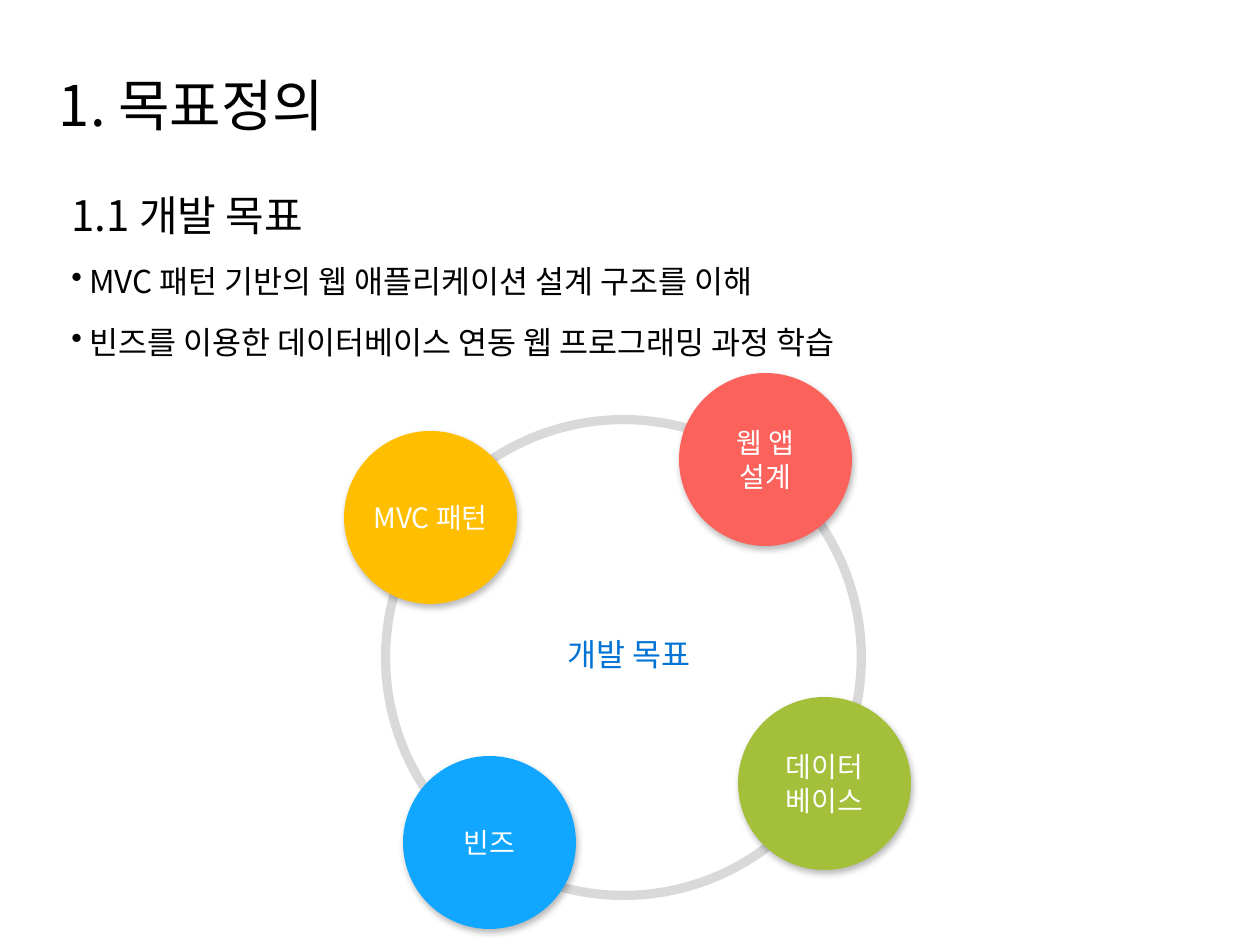
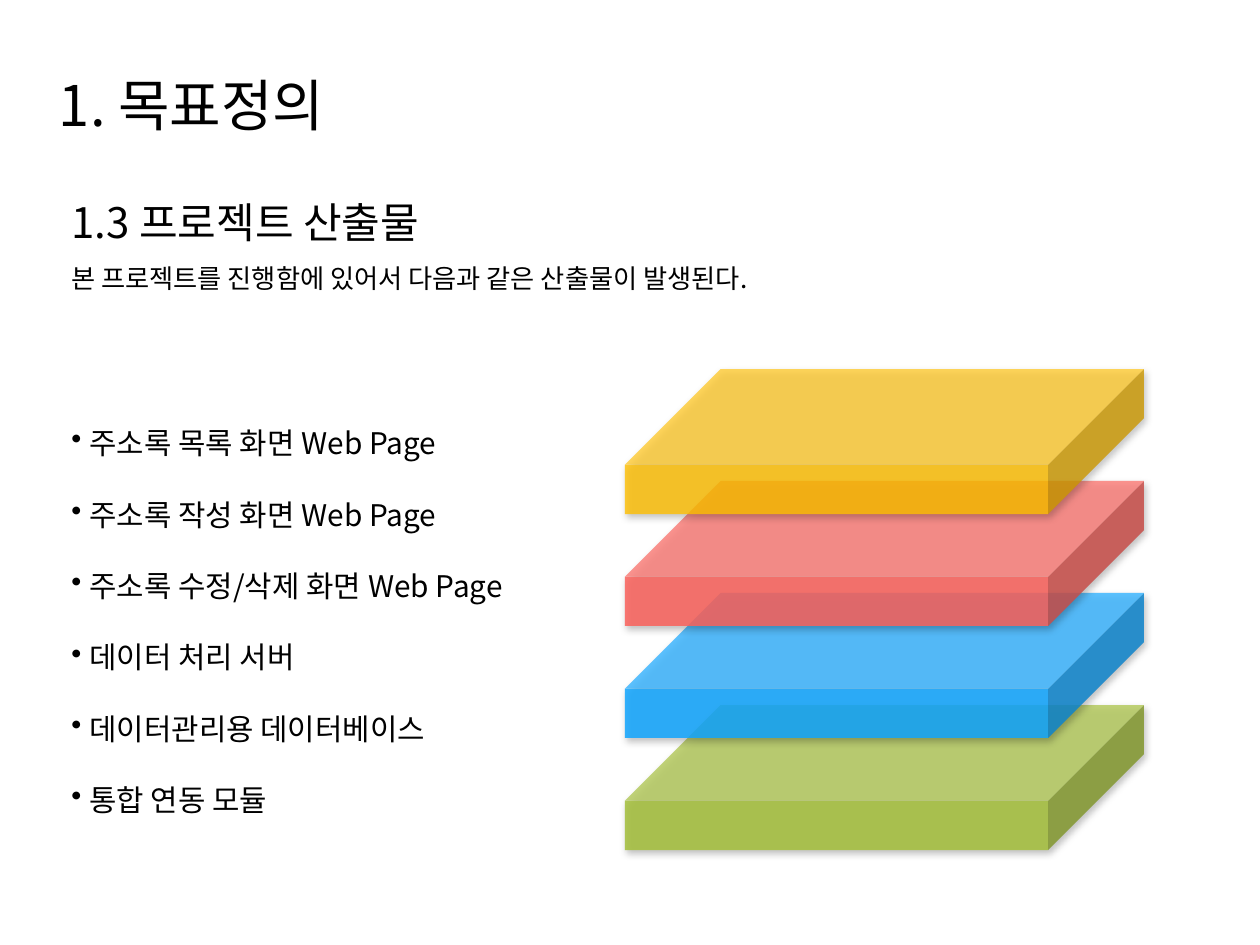
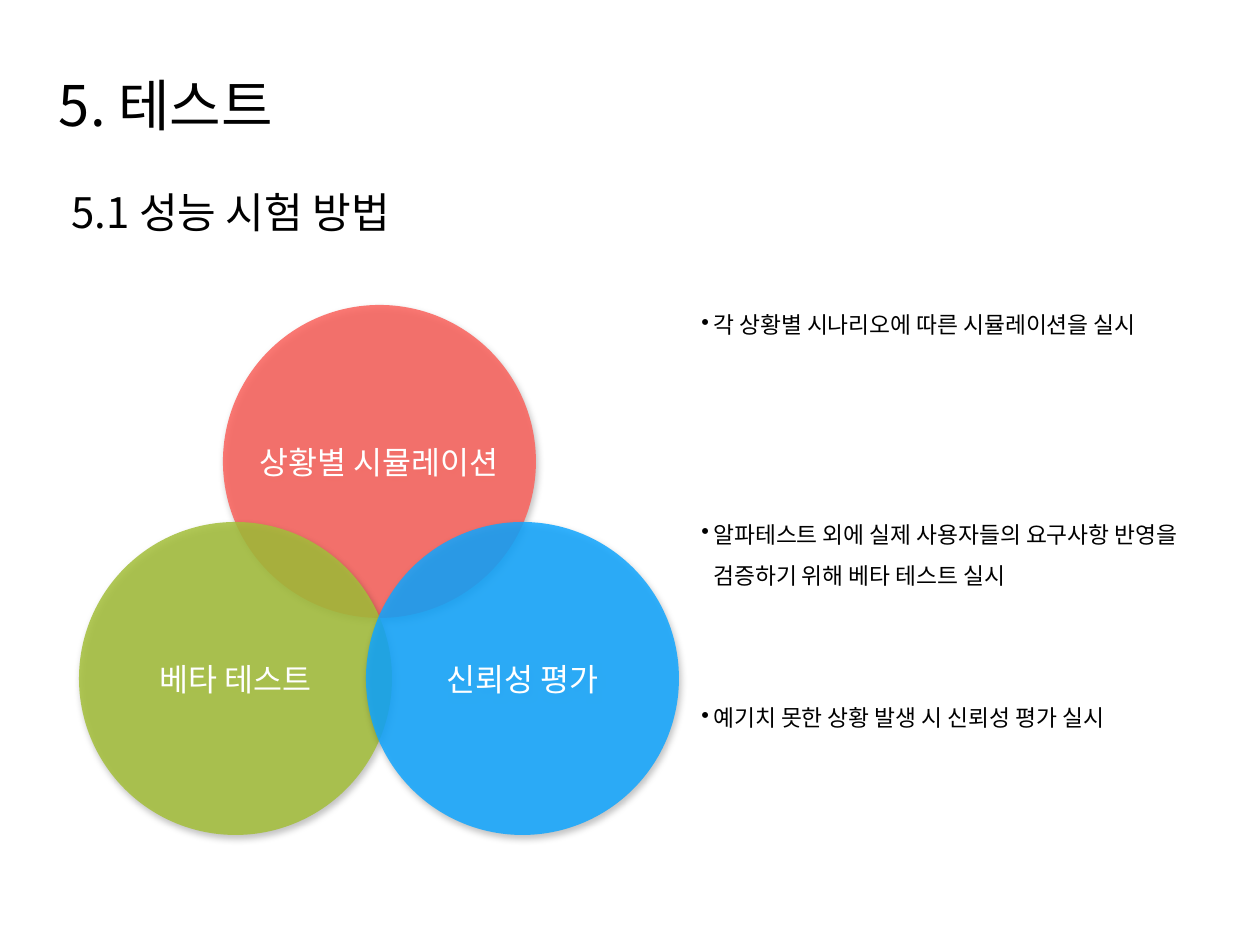
from dataclasses import dataclass

from lxml.etree import SubElement
from pptx import Presentation
from pptx.dml.color import RGBColor
from pptx.enum.shapes import MSO_SHAPE as Shape
from pptx.enum.text import MSO_ANCHOR as Anchor, PP_ALIGN as Align
from pptx.oxml.ns import qn
from pptx.util import Pt


@dataclass(frozen=True)
class Theme:
    font: str = "Noto Sans CJK KR"
    black: str = "000000"
    white: str = "FFFFFF"
    ring: str = "D9D9D9"
    accent: str = "0173D4"
    red: str = "FB625C"
    blue: str = "11A6FF"
    yellow: str = "FFBF00"
    green: str = "A4BF3A"
    title: int = 32
    heading: int = 24
    large: int = 18
    listing: int = 17
    label: int = 16
    intro: int = 15
    caption: int = 13


THEME = Theme()
MARGIN = 59


@dataclass(frozen=True)
class Line:
    text: str
    size: int
    spacing: float = 1.0
    hang: int = 0  # bullet indent in px, 0 for no bullet
    align: Align = Align.LEFT
    color: str = THEME.black


def px(length):
    return round(length * 914400 / 126)


def box(*lengths):
    return [px(length) for length in lengths]


# Text
def add_bullet(paragraph, hang):
    props = paragraph._p.get_or_add_pPr()
    props.set("marL", str(px(hang)))
    props.set("indent", str(-px(hang)))
    SubElement(props, qn("a:buChar")).set("char", "•")


def write_lines(frame, lines):
    for index, line in enumerate(lines):
        paragraph = frame.add_paragraph() if index else frame.paragraphs[0]
        paragraph.text = line.text
        paragraph.alignment = line.align
        if line.hang:
            add_bullet(paragraph, line.hang)
        if line.spacing != 1:
            paragraph.line_spacing = line.spacing
        for run in paragraph.runs:
            run.font.name = THEME.font
            run.font.size = Pt(line.size)
            run.font.color.rgb = RGBColor.from_string(line.color)
            east_asian = SubElement(run.font._element, qn("a:ea"))
            east_asian.set("typeface", THEME.font)


def add_text(slide, left, top, width, height, lines):
    frame = slide.shapes.add_textbox(*box(left, top, width, height)).text_frame
    frame.word_wrap = True
    write_lines(frame, lines)
    return frame


def add_title(slide, text):
    frame = add_text(slide, MARGIN, 64, 974, 83, [Line(text, THEME.title)])
    frame.margin_left = frame.margin_right = 0


# Shapes
def add_solid(slide, kind, left, top, width, height, color, opacity=100):
    solid = slide.shapes.add_shape(kind, *box(left, top, width, height))
    solid.fill.solid()
    solid.fill.fore_color.rgb = RGBColor.from_string(color)
    solid.line.fill.background()
    solid.shadow.inherit = False
    if opacity < 100:
        tint = solid._element.spPr.find(f"{qn('a:solidFill')}/{qn('a:srgbClr')}")
        SubElement(tint, qn("a:alpha")).set("val", str(opacity * 1000))
    return solid


def add_shadow(solid):
    effects = solid._element.spPr.find(qn("a:effectLst"))
    shadow = SubElement(effects, qn("a:outerShdw"), blurRad=str(Pt(4)),
                        dist=str(Pt(2)), dir=str(70 * 60000), rotWithShape="0")
    tint = SubElement(shadow, qn("a:srgbClr"), val=THEME.black)
    SubElement(tint, qn("a:alpha")).set("val", "28000")


def add_circle(slide, left, top, diameter, color, label, size, opacity=100):
    circle = add_solid(slide, Shape.OVAL, left, top, diameter, diameter, color, opacity)
    add_shadow(circle)
    frame = circle.text_frame
    frame.word_wrap = False
    frame.vertical_anchor = Anchor.MIDDLE
    frame.margin_left = frame.margin_right = px(10)
    frame.margin_top = frame.margin_bottom = px(10)
    write_lines(frame, [Line(part, size, align=Align.CENTER, color=THEME.white)
                        for part in label.split("\n")])


def add_slab(slide, left, top, color, opacity):
    slab = add_solid(slide, Shape.CUBE, left, top, 519, 145, color, opacity)
    slab.adjustments[0] = 0.66
    add_shadow(slab)


# Slides
def build_goals(slide):
    add_title(slide, "1. 목표정의")
    goals = ("MVC 패턴 기반의 웹 애플리케이션 설계 구조를 이해",
             "빈즈를 이용한 데이터베이스 연동 웹 프로그래밍 과정 학습")
    add_text(slide, MARGIN, 183, 892, 178,
             [Line("1.1 개발 목표", THEME.heading)]
             + [Line(goal, THEME.large, 1.6, 18, Align.JUSTIFY) for goal in goals])

    ring = add_solid(slide, Shape.DONUT, 381, 415, 485, 485, THEME.ring)
    ring.adjustments[0] = 0.019
    topics = (
        (679, 373, THEME.red, "웹 앱\n설계"),
        (403, 756, THEME.blue, "빈즈"),
        (344, 431, THEME.yellow, "MVC 패턴"),
        (738, 697, THEME.green, "데이터\n베이스"),
    )
    for left, top, color, label in topics:
        add_circle(slide, left, top, 173, color, label, THEME.label)
    add_text(slide, 501, 629, 256, 50,
             [Line("개발 목표", THEME.large, align=Align.CENTER, color=THEME.accent)])


def build_outputs(slide):
    # Stack, from the bottom slab up
    slabs = ((THEME.green, 85), (THEME.blue, 85), (THEME.red, 85), (THEME.yellow, 80))
    for level, (color, opacity) in enumerate(slabs):
        add_slab(slide, 625, 705 - 112 * level, color, opacity)

    add_title(slide, "1. 목표정의")
    outputs = ("주소록 목록 화면 Web Page", "주소록 작성 화면 Web Page",
               "주소록 수정/삭제 화면 Web Page", "데이터 처리 서버",
               "데이터관리용 데이터베이스", "통합 연동 모듈")
    add_text(slide, MARGIN, 383, 547, 507,
             [Line(output, THEME.listing, 2, 18) for output in outputs])
    add_text(slide, MARGIN, 165, 785, 131, [
        Line("1.3 프로젝트 산출물", THEME.heading, 1.5),
        Line("본 프로젝트를 진행함에 있어서 다음과 같은 산출물이 발생된다.",
             THEME.intro, 1.5),
    ])


def build_tests(slide):
    add_title(slide, "5. 테스트")
    add_text(slide, MARGIN, 180, 381, 63, [Line("5.1 성능 시험 방법", THEME.heading)])

    methods = (
        (223, 305, THEME.red, "상황별 시뮬레이션"),
        (79, 522, THEME.green, "베타 테스트"),
        (366, 522, THEME.blue, "신뢰성 평가"),
    )
    for left, top, color, label in methods:
        add_circle(slide, left, top, 313, color, label, THEME.large, 85)

    captions = (
        (305, 68, 1, "각 상황별 시나리오에 따른 시뮬레이션을 실시"),
        (501, 137, 1.5, "알파테스트 외에 실제 사용자들의 요구사항 반영을\n"
                        "검증하기 위해 베타 테스트 실시"),
        (698, 40, 1, "예기치 못한 상황 발생 시 신뢰성 평가 실시"),
    )
    for top, height, spacing, text in captions:
        add_text(slide, 689, top, 571, height,
                 [Line(text, THEME.caption, spacing, 12)])


def main():
    deck = Presentation()
    deck.slide_width, deck.slide_height = box(1260, 945)
    for build in (build_goals, build_outputs, build_tests):
        build(deck.slides.add_slide(deck.slide_layouts[6]))
    deck.save("out.pptx")


if __name__ == "__main__":
    main()
